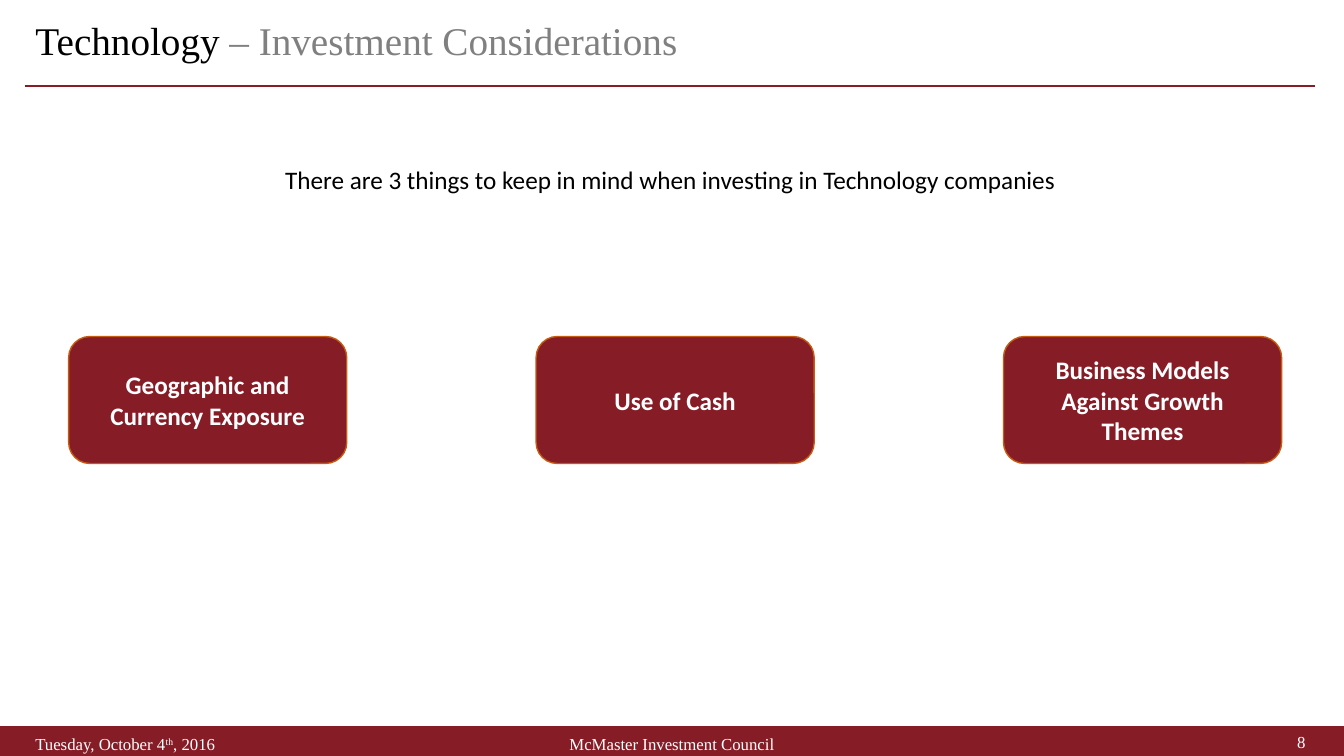
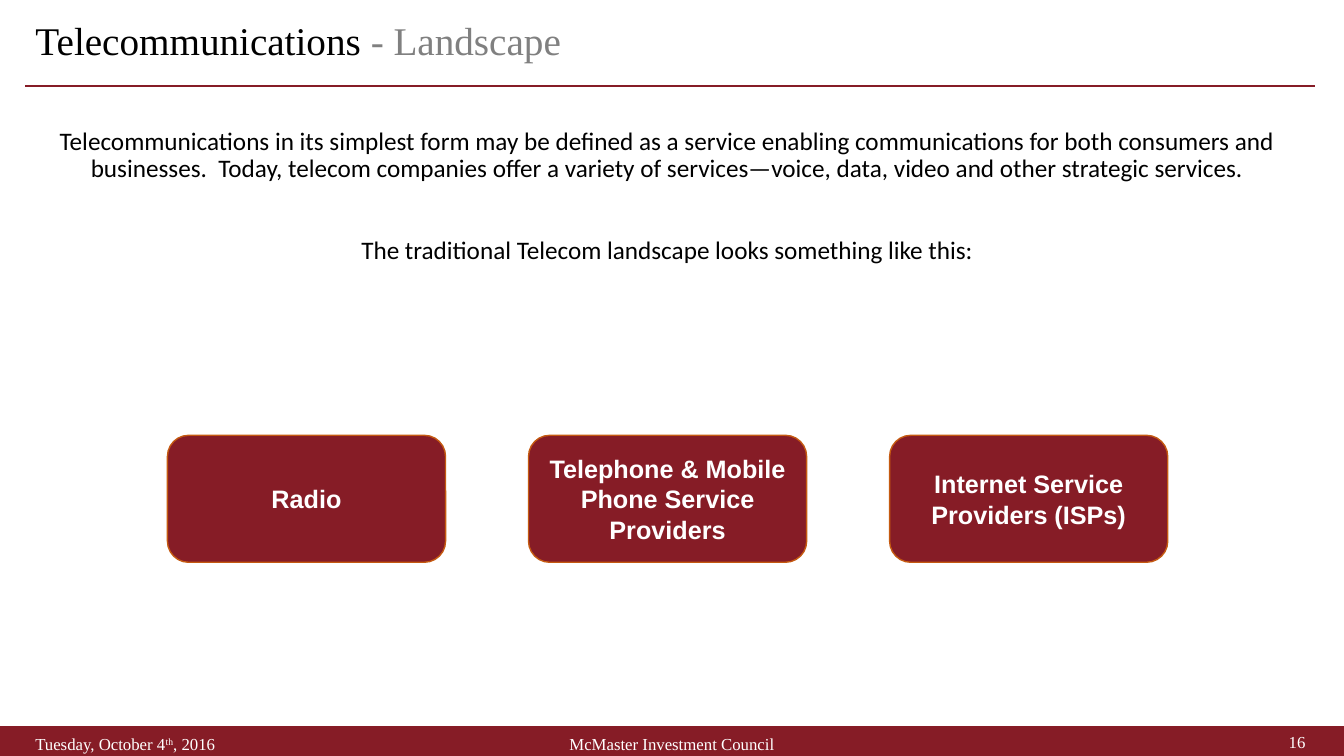
from lxml.etree import SubElement
from pptx import Presentation
from pptx.dml.color import RGBColor
from pptx.enum.shapes import MSO_CONNECTOR as CONNECTOR, MSO_SHAPE as SHAPE
from pptx.enum.text import MSO_ANCHOR as ANCHOR, MSO_AUTO_SIZE as AUTO_SIZE, PP_ALIGN as ALIGN
from pptx.oxml.ns import qn
from pptx.util import Cm, Pt

MAROON = RGBColor(0x86, 0x1C, 0x26)
ORANGE = RGBColor(0xC5, 0x5A, 0x11)
BLACK = RGBColor(0x00, 0x00, 0x00)
GREY = RGBColor(0x80, 0x80, 0x80)
WHITE = RGBColor(0xFF, 0xFF, 0xFF)

WIDTH, HEIGHT = 33.87, 19.05
MARGIN, CONTENT_WIDTH = 0.64, 32.51
CARD_WIDTH, CARD_HEIGHT = 7.01, 3.2
BAND_TOP = 18.31


class Deck:
    title_font = {"name": "Times New Roman", "size": Pt(28), "bold": False}
    footer_font = {"name": "Times New Roman", "size": Pt(12)}
    body_font = {"name": "Calibri", "size": Pt(18)}
    card_font = {"size": Pt(18), "bold": True}

    def __init__(self):
        self.prs = Presentation()
        self.prs.slide_width = Cm(WIDTH)
        self.prs.slide_height = Cm(HEIGHT)
        self.s = None

    def run(self, p, text, color, style, baseline=None):
        r = p.add_run()
        r.text = text
        for key, value in style.items():
            setattr(r.font, key, value)
        r.font.color.rgb = color
        if baseline:
            r.font._element.set("baseline", str(baseline))

    def frame(self, sp, **extra):
        tf = sp.text_frame
        values = {"word_wrap": True, "auto_size": AUTO_SIZE.NONE,
                  "vertical_anchor": ANCHOR.MIDDLE, **extra}
        for key, value in values.items():
            setattr(tf, key, value)
        return tf

    def box(self, kind, left, top, width, height, line_color):
        sp = self.s.shapes.add_shape(kind, Cm(left), Cm(top), Cm(width), Cm(height))
        sp.shadow.inherit = False
        sp.fill.solid()
        sp.fill.fore_color.rgb = MAROON
        sp.line.color.rgb = line_color
        sp.line.width = Pt(1)
        return sp

    def slide(self, topic, subject, number):
        self.s = self.prs.slides.add_slide(self.prs.slide_layouts[5])
        self.title(topic, subject)
        self.rule()
        self.box(SHAPE.RECTANGLE, 0, BAND_TOP, WIDTH, HEIGHT - BAND_TOP, MAROON)
        self.footer(MARGIN, 18.49, 7.62, ALIGN.LEFT,
                    ("Tuesday, October 4", None), ("th", 30000), (", 2016", None))
        self.footer(11.22, 18.49, 11.43, ALIGN.CENTER, ("McMaster Investment Council", None))
        self.footer(25.53, 18.44, 7.62, ALIGN.RIGHT, (number, None))

    def title(self, topic, subject):
        sp = self.s.shapes.title
        place = {"left": MARGIN, "top": 0.48, "width": CONTENT_WIDTH, "height": 1.22}
        for key, value in place.items():
            setattr(sp, key, Cm(value))
        p = self.frame(sp).paragraphs[0]
        p.alignment = ALIGN.LEFT
        p.line_spacing = 0.9
        self.run(p, topic + " ", BLACK, self.title_font)
        self.run(p, subject, GREY, self.title_font)

    def rule(self):
        line = self.s.shapes.add_connector(
            CONNECTOR.STRAIGHT, Cm(MARGIN), Cm(2.17), Cm(MARGIN + CONTENT_WIDTH), Cm(2.17))
        line.line.color.rgb = MAROON
        line.line.width = Pt(1.5)
        SubElement(line._element.spPr, qn("a:effectLst"))

    def footer(self, left, top, width, align, *parts):
        sp = self.s.shapes.add_textbox(Cm(left), Cm(top), Cm(width), Cm(0.51))
        p = self.frame(sp, margin_top=0, margin_bottom=0).paragraphs[0]
        p.alignment = align
        for text, baseline in parts:
            self.run(p, text, WHITE, self.footer_font, baseline)

    def body(self, left, top, height, *texts):
        sp = self.s.shapes.add_textbox(Cm(left), Cm(top), Cm(CONTENT_WIDTH), Cm(height))
        tf = self.frame(sp, vertical_anchor=ANCHOR.TOP)
        for i, text in enumerate(texts):
            p = tf.add_paragraph() if i else tf.paragraphs[0]
            p.alignment = ALIGN.CENTER
            p.line_spacing = 0.9
            if i:
                p.space_before = Pt(39)
            self.run(p, text, BLACK, self.body_font)

    def cards(self, left, top, step, font_name, labels):
        for i, label in enumerate(labels):
            sp = self.box(SHAPE.ROUNDED_RECTANGLE, left + i * step, top,
                          CARD_WIDTH, CARD_HEIGHT, ORANGE)
            p = self.frame(sp).paragraphs[0]
            p.alignment = ALIGN.CENTER
            self.run(p, label, WHITE, {"name": font_name, **self.card_font})


def main():
    deck = Deck()

    deck.slide("Technology", "– Investment Considerations", "8")
    deck.body(MARGIN, 4.11, 0.97,
              "There are 3 things to keep in mind when investing in Technology companies")
    deck.cards(1.73, 8.48, 11.78, "Calibri", [
        "Geographic and Currency Exposure",
        "Use of Cash",
        "Business Models Against Growth Themes",
    ])

    deck.slide("Telecommunications", "- Landscape", "16")
    deck.body(0.56, 3.12, 5.84,
              "Telecommunications in its simplest form may be defined as a service enabling "
              "communications for both consumers and businesses.  Today, telecom companies offer "
              "a variety of services—voice, data, video and other strategic services.",
              "The traditional Telecom landscape looks something like this:")
    deck.cards(4.22, 10.97, 9.1, "Arial", [
        "Radio",
        "Telephone & Mobile Phone Service Providers",
        "Internet Service Providers (ISPs)",
    ])

    deck.prs.save("out.pptx")


if __name__ == "__main__":
    main()
